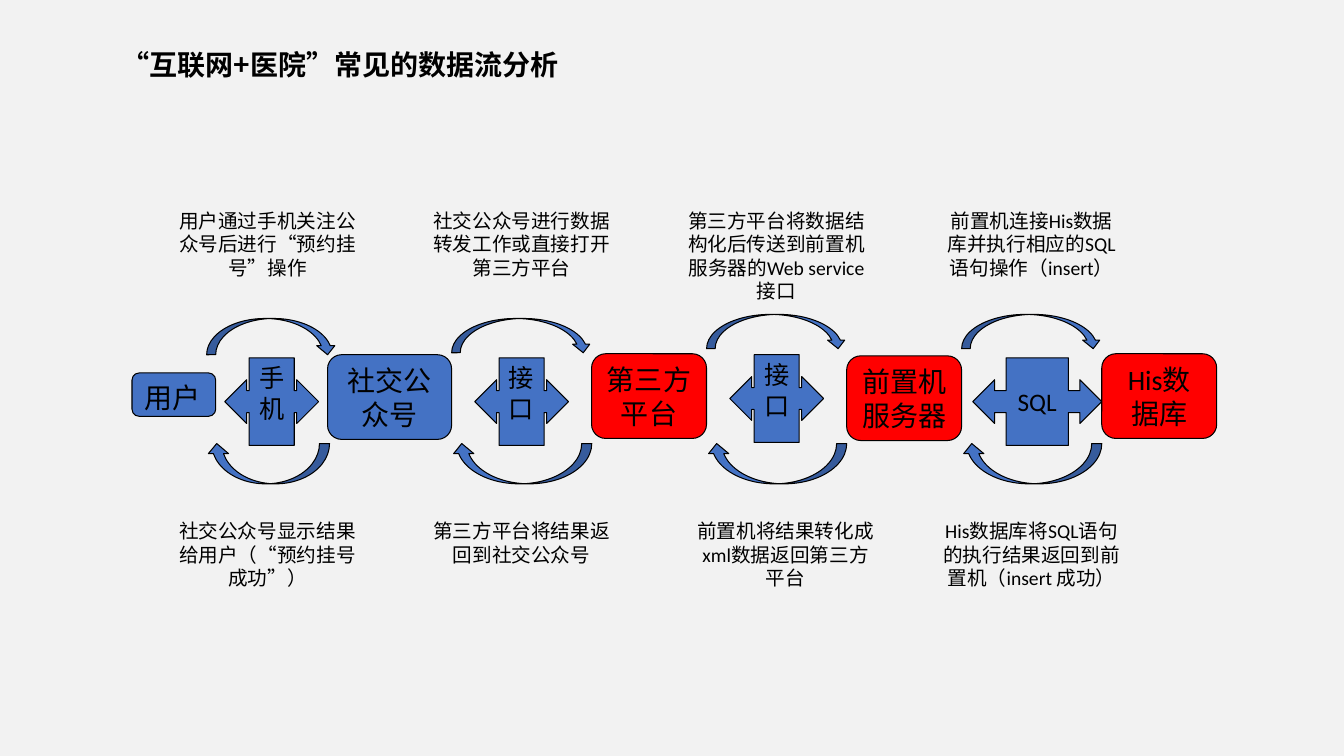
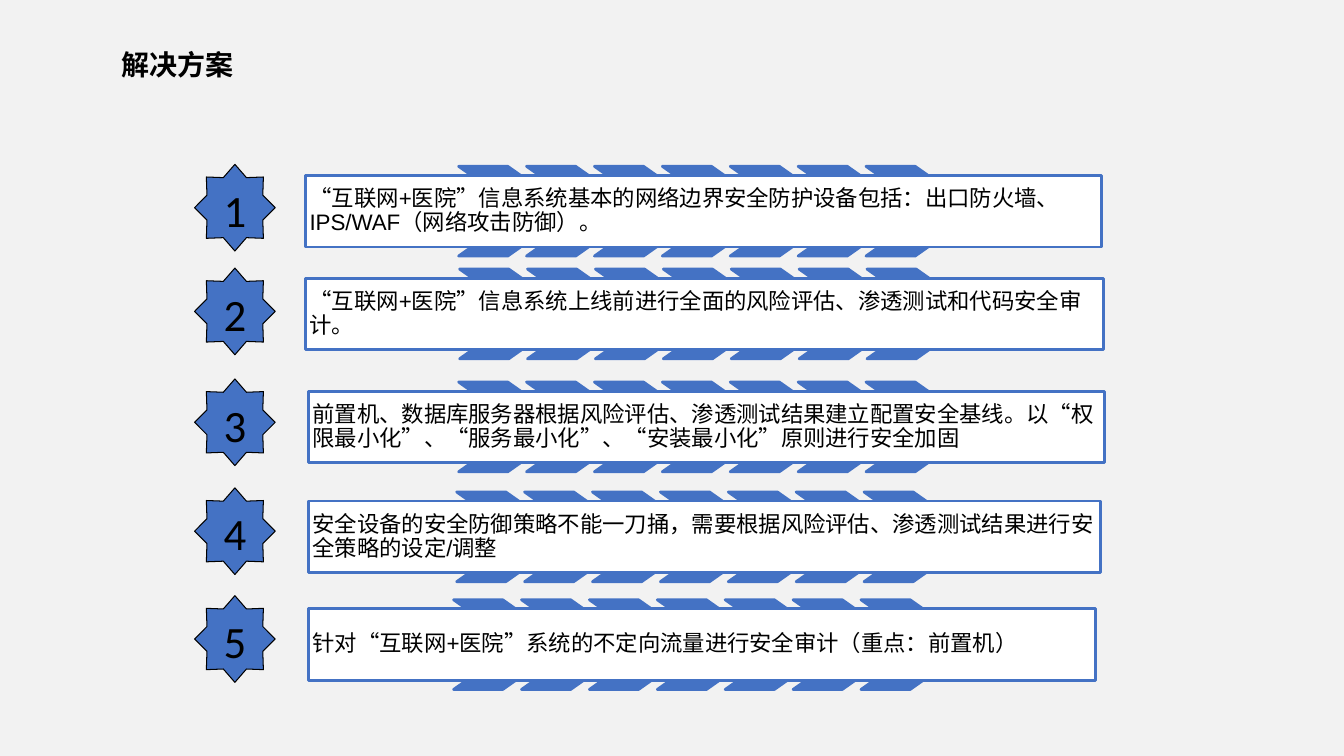
from lxml import etree
from pptx import Presentation
from pptx import util as u
from pptx.dml.color import RGBColor
from pptx.enum import shapes, text
from pptx.oxml.ns import qn

Pt = u.Pt
Kind = shapes.MSO_SHAPE
Side = text.PP_ALIGN
Hold = text.MSO_ANCHOR


class Theme:
    back = RGBColor(0xF2, 0xF2, 0xF2)
    blue = RGBColor(0x44, 0x72, 0xC4)
    red = RGBColor(0xFF, 0, 0)
    white = RGBColor(0xFF, 0xFF, 0xFF)
    ink = RGBColor(0, 0, 0)
    east = "Noto Sans CJK SC"
    title = {"name": east, "size": Pt(20), "bold": True}
    node = {"name": "Calibri", "size": Pt(20)}
    link = {"name": "Calibri", "size": Pt(18)}
    note = {"name": "Calibri", "size": Pt(14)}
    item = {"name": "Arial", "size": Pt(16)}
    count = {"name": "Calibri", "size": Pt(32)}
    thin = Pt(0.75)
    thick = Pt(2)


def draw(page, kind, box, fill=Theme.blue, edge=Theme.ink, width=Theme.thin):
    shape = page.shapes.add_shape(kind, *map(Pt, box))
    shape.shadow.inherit = False
    shape.fill.solid()
    shape.fill.fore_color.rgb = fill
    shape.line.color.rgb = edge
    shape.line.width = width
    return shape


def write(shape, words, style, align=Side.CENTER, **frame):
    body = shape.text_frame
    for key, val in {"word_wrap": True, "vertical_anchor": Hold.TOP, **frame}.items():
        setattr(body, key, val)
    para = body.paragraphs[0]
    para.alignment = align
    run = para.add_run()
    run.text = words
    for key, val in style.items():
        setattr(run.font, key, val)
    run.font.color.rgb = Theme.ink
    etree.SubElement(run._r.get_or_add_rPr(), qn("a:ea"), typeface=Theme.east)
    return para


deck = Presentation()
deck.slide_width, deck.slide_height = Pt(960), Pt(540)
ground = deck.slide_master.background.fill
ground.solid()
ground.fore_color.rgb = Theme.back

pages = []
for words, wide in [("“互联网+医院”常见的数据流分析", 332.6), ("解决方案", 95)]:
    page = deck.slides.add_slide(deck.slide_layouts[6])
    head = page.shapes.add_textbox(*map(Pt, (79.6, 30.2, wide, 31.7)))
    write(head, words, Theme.title, Side.LEFT)
    pages.append(page)
flow, plan = pages

arcs = [
    ((147.6, 227.5, 92.9, 25.9), (147.6, 316.8, 87.8, 28.8)),
    ((322.6, 227.5, 100.1, 24.5), (322.6, 316.8, 100.1, 28.8)),
    ((504.7, 224.6, 100.1, 24.5), (504.7, 316.8, 100.1, 28.8)),
    ((686.9, 224.6, 100.1, 24.5), (686.9, 316.8, 100.1, 28.8)),
]
for there, back in arcs:
    draw(flow, Kind.CURVED_DOWN_ARROW, there)
    draw(flow, Kind.CURVED_DOWN_ARROW, back).rotation = 180

notes = [
    (120.2, 120.2, "用户通过手机关注公众号后进行“预约挂号”操作",
     "社交公众号显示结果给用户（“预约挂号成功”）"),
    (301.7, 301.7, "社交公众号进行数据转发工作或直接打开第三方平台",
     "第三方平台将结果返回到社交公众号"),
    (483.8, 490.3, "第三方平台将数据结构化后传送到前置机服务器的Web service接口",
     "前置机将结果转化成xml数据返回第三方平台"),
    (666, 666, "前置机连接His数据库并执行相应的SQL语句操作（insert）",
     "His数据库将SQL语句的执行结果返回到前置机（insert 成功）"),
]
for high, low, send, reply in notes:
    for left, top, words in [(high, 145.4, send), (low, 367.2, reply)]:
        note = flow.shapes.add_textbox(*map(Pt, (left, top, 141.8, 58.3)))
        write(note, words, Theme.note)

links = [
    ("手机", (160.6, 255.6, 67, 62.6), Side.LEFT, Hold.TOP),
    ("接口", (339.1, 255.6, 67, 62.6), Side.LEFT, Hold.TOP),
    ("接口", (521.3, 253.4, 67, 62.6), Side.LEFT, Hold.TOP),
    ("SQL", (694.8, 255.6, 92.2, 62.6), Side.CENTER, Hold.MIDDLE),
]
for words, box, align, hold in links:
    link = draw(flow, Kind.LEFT_RIGHT_ARROW_CALLOUT, box)
    write(link, words, Theme.link, align, vertical_anchor=hold)

nodes = [
    ("用户", (94.3, 266.4, 59.8, 31), Theme.blue, Side.LEFT),
    ("社交公众号", (234, 253.4, 88.6, 60.5), Theme.blue, Side.CENTER),
    ("第三方平台", (422.6, 252.7, 82.1, 60.5), Theme.red, Side.CENTER),
    ("前置机服务器", (604.8, 254.2, 82.1, 60.5), Theme.red, Side.CENTER),
    ("His数据库", (787, 252.7, 82.1, 60.5), Theme.red, Side.CENTER),
]
for words, box, fill, align in nodes:
    write(draw(flow, Kind.ROUNDED_RECTANGLE, box, fill), words, Theme.node, align)

inset = {f"margin_{side}": Pt(2.9) for side in ("left", "top", "right", "bottom")}
steps = [
    (118.8, 117.4, 327.6, 218.2, 568.8,
     "“互联网+医院”信息系统基本的网络边界安全防护设备包括：出口防火墙、IPS/WAF（网络攻击防御）。"),
    (192.2, 191.5, 328.3, 218.2, 570.2,
     "“互联网+医院”信息系统上线前进行全面的风险评估、渗透测试和代码安全审计。"),
    (272.9, 270.7, 327.6, 220.3, 568.8,
     "前置机、数据库服务器根据风险评估、渗透测试结果建立配置安全基线。"
     "以“权限最小化”、“服务最小化”、“安装最小化”原则进行安全加固"),
    (351.4, 348.5, 326.2, 220.3, 565.9,
     "安全设备的安全防御策略不能一刀捅，需要根据风险评估、渗透测试结果进行安全策略的设定/调整"),
    (428.4, 425.5, 324, 220.3, 562.3,
     "针对“互联网+医院”系统的不定向流量进行安全审计（重点：前置机）"),
]
for num, (top, peak, first, left, wide, words) in enumerate(steps, 1):
    for col in range(7):
        mark = draw(plan, Kind.CHEVRON, (first + col * 48.5, top, 80.6, 64.1),
                    edge=Theme.blue, width=Theme.thick)
        mark.adjustments[0] = 0.71
    card = draw(plan, Kind.RECTANGLE, (left, top + 6.5, wide, 51.1),
                Theme.white, Theme.blue, Theme.thick)
    para = write(card, words, Theme.item, Side.LEFT,
                 vertical_anchor=Hold.MIDDLE, **inset)
    para.line_spacing = 0.9
    star = draw(plan, Kind.STAR_8_POINT, (139, peak, 57.6, 61.9))
    write(star, str(num), Theme.count)

deck.save("out.pptx")
